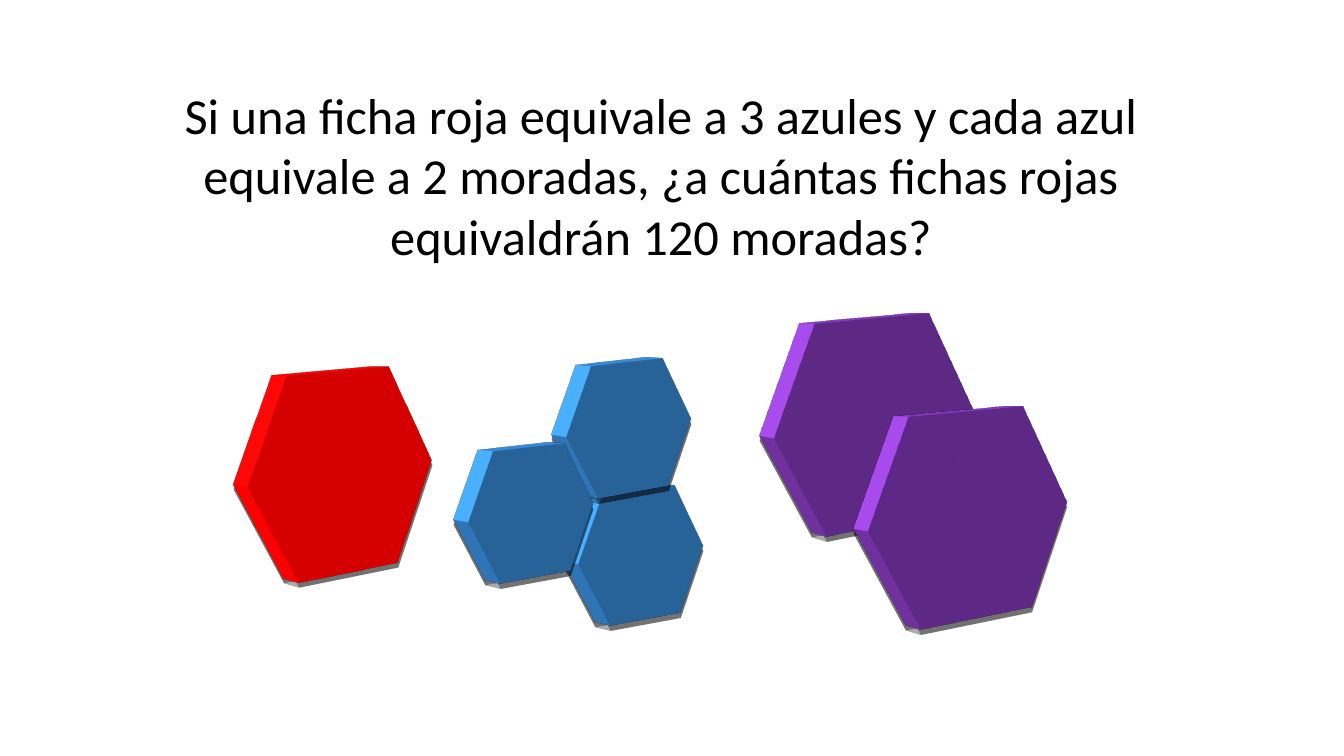
from dataclasses import dataclass, field
from lxml.etree import SubElement
from pptx import Presentation
from pptx.dml.color import RGBColor
from pptx.enum.shapes import MSO_SHAPE
from pptx.enum.text import MSO_ANCHOR, PP_ALIGN
from pptx.oxml.ns import qn
from pptx.util import Pt

UNIT = 914400 / 100.8  # EMU in one px


def emu(px):
    return round(px * UNIT)


def add(node, tag, **values):
    return SubElement(node, qn(f"a:{tag}"), values)


@dataclass(frozen=True)
class Theme:
    font: str = "Calibri"
    size: int = 36
    ink: str = "000000"
    shade: str = "000000"
    rim: str = "FFFFFF"
    tones: dict = field(default_factory=lambda: {
        "red": "FF0000", "blue": "2E75B6", "purple": "7030A0"})


class Board:
    def __init__(self, slide, theme):
        self.slide, self.theme = slide, theme

    def text(self, words, left, top, width, height):
        box = self.slide.shapes.add_textbox(*map(emu, (left, top, width, height)))
        frame = box.text_frame
        para = frame.paragraphs[0]
        run = para.add_run()
        style = {
            frame: {"word_wrap": True, "vertical_anchor": MSO_ANCHOR.TOP},
            para: {"alignment": PP_ALIGN.CENTER},
            run: {"text": words},
            run.font: {"name": self.theme.font, "size": Pt(self.theme.size)},
        }
        for part, values in style.items():
            for name, value in values.items():
                setattr(part, name, value)
        run.font.color.rgb = RGBColor.from_string(self.theme.ink)

    def token(self, hue, left, top, width, height):
        shape = self.slide.shapes.add_shape(
            MSO_SHAPE.HEXAGON, *map(emu, (left, top, width, height)))
        shape.fill.solid()
        shape.fill.fore_color.rgb = RGBColor.from_string(self.theme.tones[hue])
        shape.line.fill.background()
        shape.shadow.inherit = False
        self.depth(shape.element.spPr)

    def depth(self, props):
        # Soft shadow
        glow = add(props.find(qn("a:effectLst")), "outerShdw", blurRad="225425",
                   dist="50800", dir="5220000", algn="ctr", rotWithShape="0")
        add(add(glow, "srgbClr", val=self.theme.shade), "alpha", val="33000")
        # View and light
        scene = add(props, "scene3d")
        view = add(scene, "camera", prst="perspectiveFront", fov="3300000")
        add(view, "rot", lat="486000", lon="19530000", rev="174000")
        light = add(scene, "lightRig", rig="harsh", dir="t")
        add(light, "rot", lat="0", lon="0", rev="3000000")
        # Thickness
        solid = add(props, "sp3d", extrusionH="254000", contourW="19050")
        for side in ("bevelT", "bevelB"):
            add(solid, side, w="82550", h="44450", prst="angle")
        add(add(solid, "contourClr"), "srgbClr", val=self.theme.rim)


def main():
    deck = Presentation()
    deck.slide_width, deck.slide_height = emu(1344), emu(756)
    board = Board(deck.slides.add_slide(deck.slide_layouts[6]), Theme())

    # Question
    board.text("Si una ficha roja equivale a 3 azules y cada azul equivale a 2 "
               "moradas, ¿a cuántas fichas rojas equivaldrán 120 moradas?",
               120, 79, 1082, 194)

    # Tokens, from back to front
    sizes = {"red": (224, 203), "blue": (152, 131), "purple": (242, 209)}
    for hue, left, top in (("blue", 567, 489), ("red", 233, 371),
                           ("blue", 555, 362), ("purple", 758, 318),
                           ("blue", 457, 447), ("purple", 852, 411)):
        board.token(hue, left, top, *sizes[hue])

    deck.save("out.pptx")


if __name__ == "__main__":
    main()
